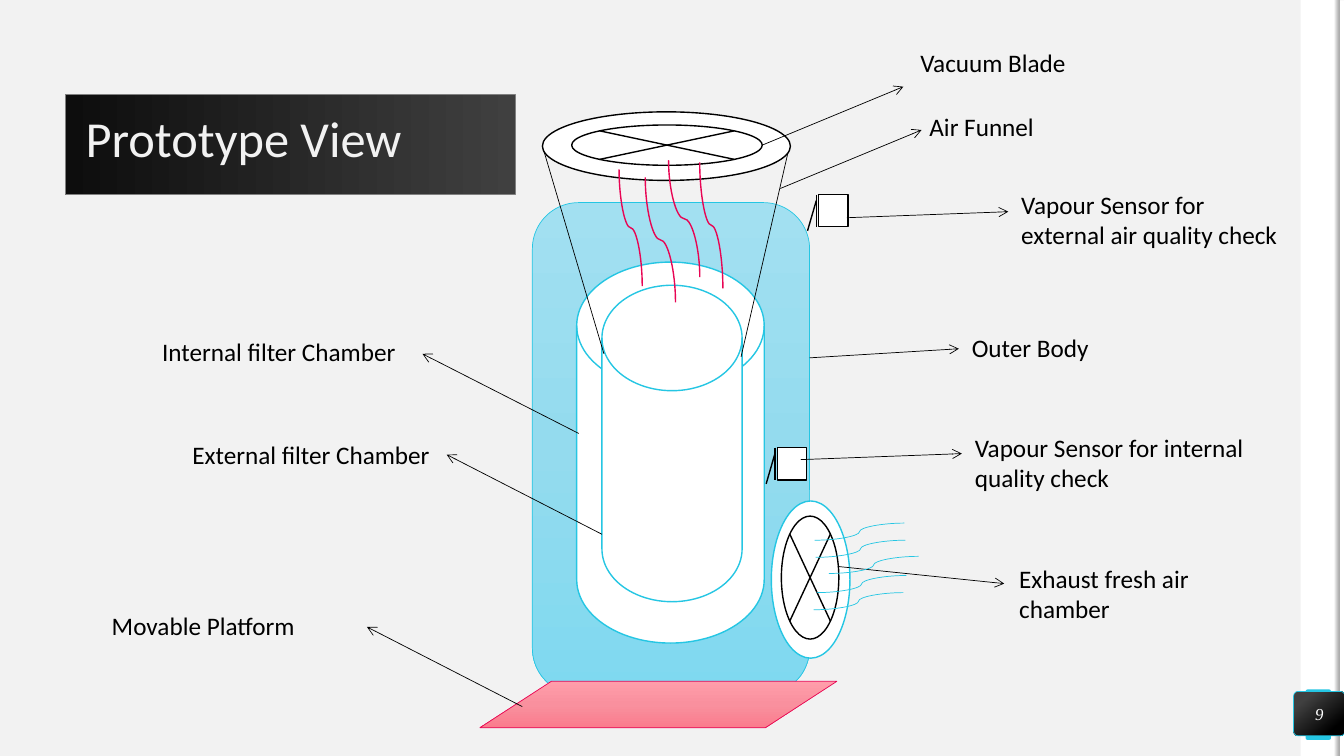
"""Build the prototype view slide: a labelled sketch of an air purifier."""
import copy
import pptx
import pptx.util
import pptx.dml.color
import pptx.enum.shapes
import pptx.enum.text
import pptx.oxml.ns

Inches = pptx.util.Inches
Pt = pptx.util.Pt
Kind = pptx.enum.shapes.MSO_SHAPE
Join = pptx.enum.shapes.MSO_CONNECTOR
Align = pptx.enum.text.PP_ALIGN
Anchor = pptx.enum.text.MSO_ANCHOR
qn = pptx.oxml.ns.qn

WHITE, BLACK, CYAN, PINK, PALE = "FFFFFF", "000000", "25C6E3", "E80554", "F2F2F2"
FONT = "Calibri"

STRIP = (9.56, 3.73, 7.5, 0.05)
EDGE = (9.51, 3.73, 7.5, 0.05)
BADGE = (12.83, 6.86, 0.51, 0.44)
TITLE = (0.65, 0.94, 4.46, 0.99)

SHADES = {
    "edge": (270, [(0, PALE), (100, "A6A6A6")]),
    "badge": (50, [(20, "404040"), (82, BLACK)]),
    "title": (180, [(0, "404040"), (100, "0D0D0D")]),
    "body": (90, [(0, "A2E0F1"), (50, "94DBEE"), (100, "7FD9F0")]),
    "base": (90, [(0, "FF9DAA"), (50, "F9909E"), (100, "FA7C8D")]),
}

TANK = [
    (Kind.ROUNDED_RECTANGLE, (5.28, 2.01, 2.75, 4.88), "body", CYAN, 0.5),
    (Kind.OVAL, (7.65, 4.97, 0.78, 1.56), WHITE, CYAN, 1),
    (Kind.FLOWCHART_MAGNETIC_DISK, (5.72, 2.6, 1.86, 3.78), WHITE, CYAN, 1),
    (Kind.FLOWCHART_MAGNETIC_DISK, (5.97, 2.83, 1.39, 3.14), WHITE, CYAN, 1),
]
FUNNEL = [(5.99, 3.51, 5.38, 1.45), (7.35, 3.54, 7.83, 1.45)]
PARTS = [
    (Kind.OVAL, (5.38, 1.11, 2.46, 0.68), WHITE, BLACK, 1),
    (Kind.FLOWCHART_SUMMING_JUNCTION, (5.67, 1.24, 1.89, 0.4), WHITE, BLACK, 1),
    (Kind.FLOWCHART_SUMMING_JUNCTION, (7.75, 5.12, 0.57, 1.22), WHITE, BLACK, 1),
    (Kind.LINE_CALLOUT_1_BORDER_AND_ACCENT_BAR, (8.12, 1.93, 0.29, 0.32), WHITE, BLACK, 1),
    (Kind.LINE_CALLOUT_1_BORDER_AND_ACCENT_BAR, (7.71, 4.44, 0.29, 0.32), WHITE, BLACK, 1),
    (Kind.FLOWCHART_DATA, (4.76, 6.76, 3.54, 0.46), "base", PINK, 0.5),
]

LABELS = [
    ("Vacuum Blade", (9.03, 0.42, 2.07, 0.4), (7.56, 1.44, 8.96, 0.86)),
    ("Air Funnel", (9.12, 1.06, 1.4, 0.4), (7.74, 1.87, 9.14, 1.29)),
    ("Vapour Sensor for external air quality check", (10.03, 1.83, 2.85, 0.71), (8.4, 2.16, 10, 2.1)),
    ("Outer Body", (9.54, 3.25, 1.4, 0.4), (8.03, 3.55, 9.51, 3.46)),
    ("Vapour Sensor for internal quality check", (9.57, 4.24, 3.28, 0.71), (7.94, 4.56, 9.54, 4.5)),
    ("Exhaust fresh air chamber", (10.01, 5.54, 2.26, 0.71), (8.31, 5.62, 9.96, 5.79)),
    ("Internal filter Chamber", (1.51, 3.29, 2.96, 0.4), (5.74, 4.3, 4.19, 3.51)),
    ("External filter Chamber", (1.81, 4.31, 2.88, 0.4), (5.97, 5.3, 4.43, 4.51)),
    ("Movable Platform", (1.01, 6.01, 2.88, 0.4), (5.18, 7.01, 3.64, 6.22)),
]

INTAKE = [(6.14, 1.68, 6.37, 2.84), (6.4, 1.76, 6.7, 3),
          (6.63, 1.59, 6.94, 2.75), (6.94, 1.61, 7.17, 2.86)]
BREEZE = [(8.08, 5.19), (8.09, 5.36), (8.22, 5.52), (8.1, 5.71), (8.07, 5.88)]
GUST = (0.89, 0.17)


def rgb(code):
    return pptx.dml.color.RGBColor.from_string(code)


def paint(shape, fill):
    if fill not in SHADES:
        shape.fill.solid()
        shape.fill.fore_color.rgb = rgb(fill)
        return
    angle, stops = SHADES[fill]
    shape.fill.gradient()
    shape.fill.gradient_angle = 360 - angle
    row = shape._element.spPr.find(".//" + qn("a:gsLst"))
    while len(row) < len(stops):
        row.append(copy.deepcopy(row[-1]))
    for stop, (place, code) in zip(shape.fill.gradient_stops, stops):
        stop.position = place / 100
        stop.color.rgb = rgb(code)


def draw(kind, box, fill, line=None, width=0, round_by=None, turn=0):
    shape = slide.shapes.add_shape(kind, *map(Inches, box))
    shape.shadow.inherit = False
    shape.rotation = turn
    if round_by is not None:
        shape.adjustments[0] = round_by
    paint(shape, fill)
    if line:
        shape.line.color.rgb = rgb(line)
        shape.line.width = Pt(width)
    else:
        shape.line.fill.background()
    return shape


def write(shape, text, size, code, font=FONT, inset=None, align=Align.LEFT,
          anchor=Anchor.TOP, slant=False):
    frame = shape.text_frame
    frame.text = text
    frame.word_wrap = True
    frame.vertical_anchor = anchor
    if inset:
        (frame.margin_left, frame.margin_top,
         frame.margin_right, frame.margin_bottom) = map(Inches, inset)
    para = frame.paragraphs[0]
    para.alignment = align
    face = para.runs[0].font
    face.name, face.size, face.italic = font, Pt(size), slant
    face.color.rgb = rgb(code)


def link(ends, code=BLACK, width=0.5, kind=Join.STRAIGHT, arrow=False):
    wire = slide.shapes.add_connector(kind, *map(Inches, ends))
    wire.line.color.rgb = rgb(code)
    wire.line.width = Pt(width)
    props = wire._element.spPr
    if arrow:
        tail = props.find(qn("a:ln")).makeelement(qn("a:tailEnd"), {"type": "arrow"})
        props.find(qn("a:ln")).append(tail)
    props.append(props.makeelement(qn("a:effectLst"), {}))
    return wire


def rise(x1, y1, x2, y2):
    mid_x, mid_y = (x1 + x2) / 2, (y1 + y2) / 2
    half_w, half_h = (y2 - y1) / 2, (x2 - x1) / 2
    wire = link((mid_x + half_w, mid_y - half_h, mid_x - half_w, mid_y + half_h),
                PINK, 1, Join.CURVE)
    wire._element.spPr.find(qn("a:xfrm")).set("rot", str(270 * 60000))


deck = pptx.Presentation()
deck.slide_width, deck.slide_height = Inches(13.33), Inches(7.5)
slide = deck.slides.add_slide(deck.slide_layouts[6])
slide.background.fill.solid()
slide.background.fill.fore_color.rgb = rgb(PALE)

draw(Kind.RECTANGLE, (12.9, 0, 0.39, 7.5), WHITE)
draw(Kind.ROUNDED_RECTANGLE, (12.95, 6.84, 0.25, 0.5), CYAN, round_by=0.07)
draw(Kind.RECTANGLE, STRIP, WHITE, turn=90)
draw(Kind.RECTANGLE, EDGE, "edge", turn=90)
badge = draw(Kind.ROUNDED_RECTANGLE, BADGE, "badge", CYAN, 0.5, 0.1)
write(badge, "9", 12, WHITE, "Times New Roman", (0, 0, 0, 0), Align.CENTER, Anchor.MIDDLE, True)
title = draw(Kind.RECTANGLE, TITLE, "title", "808080", 0.75)
write(title, "Prototype View", 36, PALE, inset=(0.2, 0.12, 0.2, 0))

for part in TANK:
    draw(*part)
for ends in FUNNEL:
    link(ends)
for part in PARTS:
    draw(*part)
for text, box, ends in LABELS:
    link(ends, arrow=True)
    write(slide.shapes.add_textbox(*map(Inches, box)), text, 18, BLACK)
for ends in INTAKE:
    rise(*ends)
for left, top in BREEZE:
    link((left, top + GUST[1], left + GUST[0], top), CYAN, 0.5, Join.CURVE)

deck.save("out.pptx")
